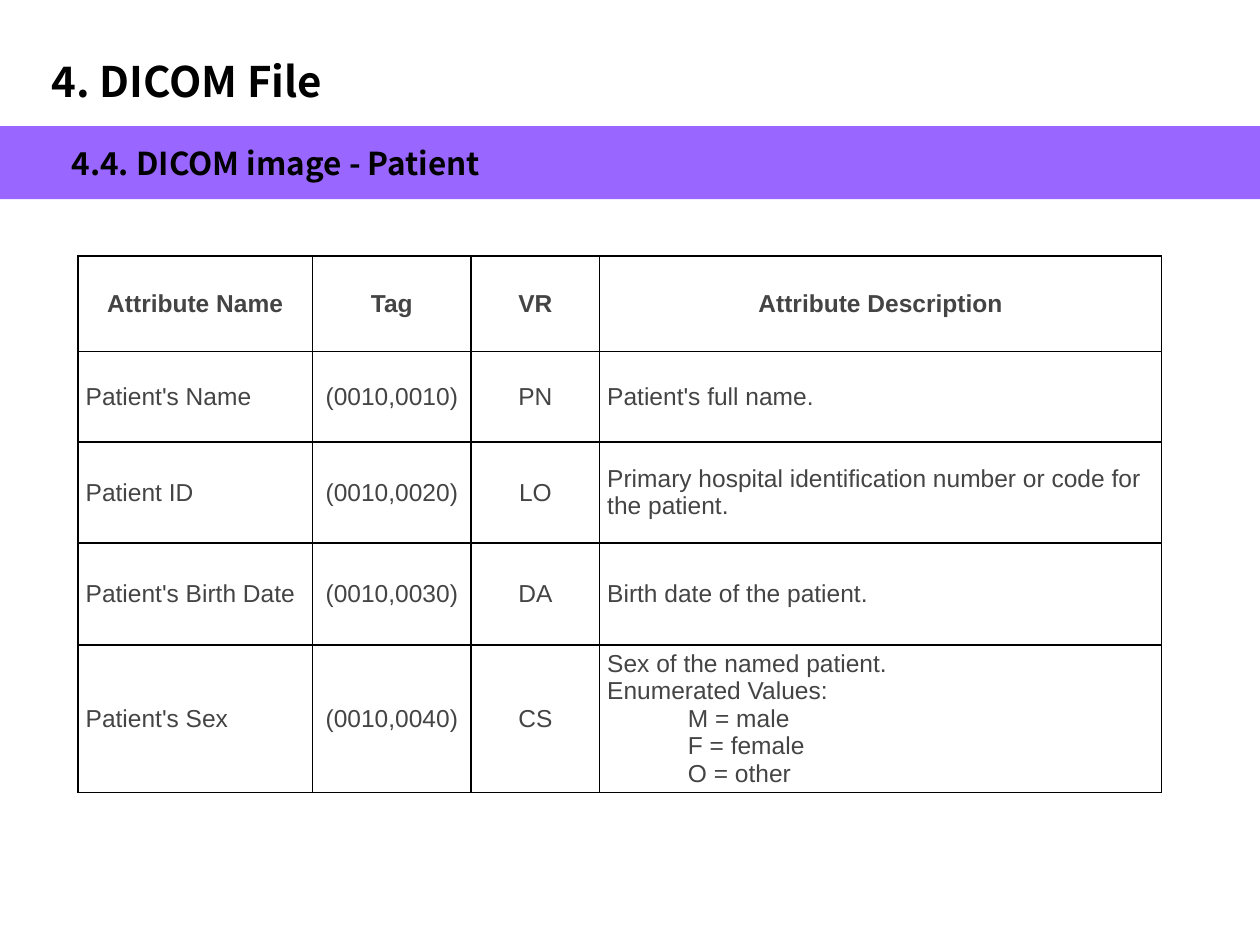
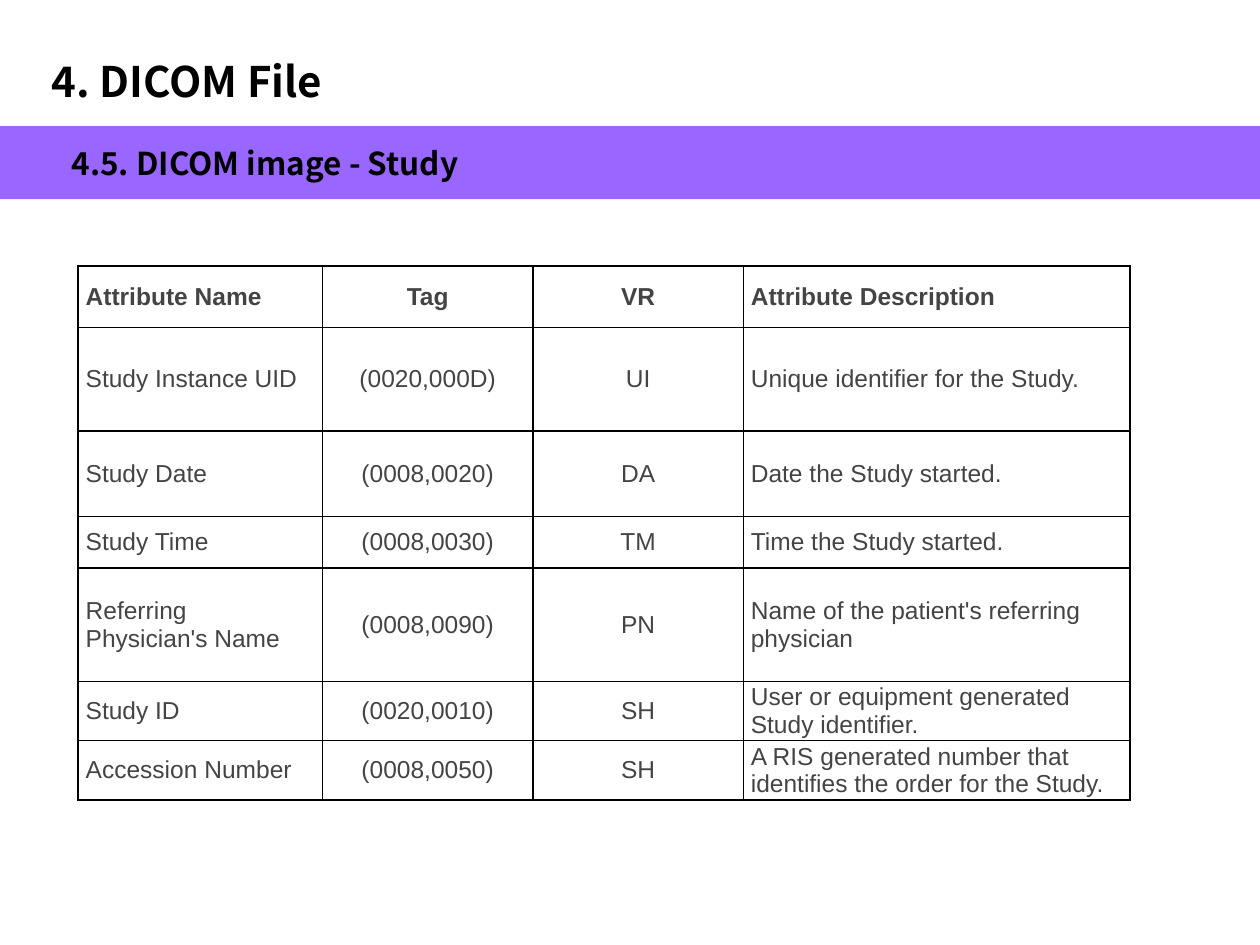
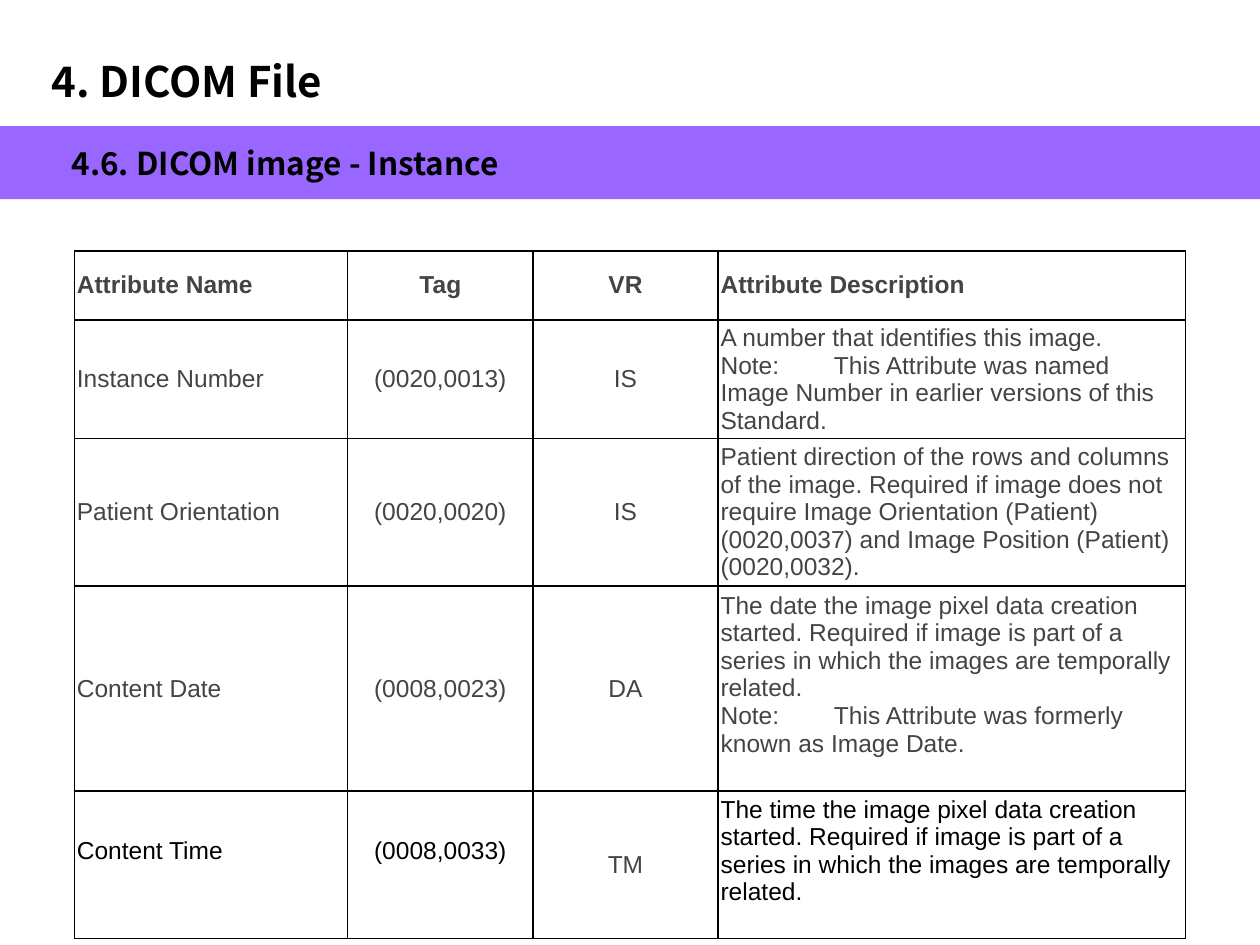
"""Build three slides of DICOM attribute tables under a shared title and band."""
from lxml import etree
from pptx import Presentation
from pptx import util as u
from pptx.dml.color import RGBColor
from pptx.enum import shapes, text
from pptx.oxml import ns

COLORS = {"band": "9966FF", "heading": "000000", "body": "444444", "border": "000000"}
HEADING_FONT, BODY_FONT = "Noto Sans CJK KR", "Arial"
WIDTH, HEIGHT = 10, 7.5
CHAPTER = "4. DICOM File"
HEADER = ("Attribute Name", "Tag", "VR", "Attribute Description")
CENTERED_COLUMNS = (1, 2)
RAISED_BY = 0.22

SECTIONS = [
    {
        "heading": "4.4. DICOM image - Patient",
        "origin": (0.62, 2.03), "columns": (1.86, 1.26, 1.02, 4.46),
        "heights": (0.76, 0.72, 0.8, 0.81, 1.17),
        "margin": 0.06, "tab": 0.64, "centered_header": True,
        "rows": [
            ("Patient's Name", "(0010,0010)", "PN", "Patient's full name."),
            ("Patient ID", "(0010,0020)", "LO",
             "Primary hospital identification number or code for the patient."),
            ("Patient's Birth Date", "(0010,0030)", "DA", "Birth date of the patient."),
            ("Patient's Sex", "(0010,0040)", "CS",
             "Sex of the named patient.\nEnumerated Values:\n"
             "\tM = male\n\tF = female\n\tO = other"),
        ],
    },
    {
        "heading": "4.5. DICOM image - Study",
        "origin": (0.62, 2.11), "columns": (1.94, 1.67, 1.67, 3.07),
        "heights": (0.49, 0.82, 0.68, 0.41, 0.9, 0.47, 0.47),
        "margin": 0.06,
        "rows": [
            ("Study Instance UID", "(0020,000D)", "UI", "Unique identifier for the Study."),
            ("Study Date", "(0008,0020)", "DA", "Date the Study started."),
            ("Study Time", "(0008,0030)", "TM", "Time the Study started."),
            ("Referring Physician's Name", "(0008,0090)", "PN",
             "Name of the patient's referring physician"),
            ("Study ID", "(0020,0010)", "SH", "User or equipment generated Study identifier."),
            ("Accession Number", "(0008,0050)", "SH",
             "A RIS generated number that identifies the order for the Study."),
        ],
    },
    {
        "heading": "4.6. DICOM image - Instance",
        "origin": (0.59, 1.99), "columns": (2.17, 1.47, 1.47, 3.71),
        "heights": (0.55, 0.94, 1.17, 1.63, 1.17),
        "margin": 0.02, "tab": 0.9,
        "black": {(4, 0), (4, 1), (4, 3)},
        "raised": {(3, 3), (4, 0), (4, 1), (4, 3)},
        "rows": [
            ("Instance Number", "(0020,0013)", "IS",
             "A number that identifies this image.\n"
             "Note:\tThis Attribute was named Image Number in earlier versions "
             "of this Standard."),
            ("Patient Orientation", "(0020,0020)", "IS",
             "Patient direction of the rows and columns of the image. Required if image "
             "does not require Image Orientation (Patient) (0020,0037) and Image Position "
             "(Patient) (0020,0032)."),
            ("Content Date", "(0008,0023)", "DA",
             "The date the image pixel data creation started. Required if image is part of "
             "a series in which the images are temporally related.\n"
             "Note:\tThis Attribute was formerly known as Image Date."),
            ("Content Time", "(0008,0033)", "TM",
             "The time the image pixel data creation started. Required if image is part of "
             "a series in which the images are temporally related."),
        ],
    },
]


def add_run(paragraph, words, font, size, color, bold):
    run = paragraph.add_run()
    run.text = words
    run.font.name, run.font.size, run.font.bold = font, u.Pt(size), bold
    run.font.color.rgb = RGBColor.from_string(COLORS[color])


def add_tab_stop(paragraph, position):
    properties = paragraph._p.get_or_add_pPr()
    stops = etree.SubElement(properties, ns.qn("a:tabLst"))
    etree.SubElement(stops, ns.qn("a:tab"), pos=str(u.Inches(position)), algn="l")


def add_borders(cell):
    properties = cell._tc.get_or_add_tcPr()
    for index, side in enumerate(("lnL", "lnR", "lnT", "lnB")):
        line = etree.Element(ns.qn(f"a:{side}"), w=str(u.Pt(1)))
        fill = etree.SubElement(line, ns.qn("a:solidFill"))
        etree.SubElement(fill, ns.qn("a:srgbClr"), val=COLORS["border"])
        properties.insert(index, line)


def add_band(slide, layout):
    band = slide.shapes.add_shape(
        shapes.MSO_SHAPE.RECTANGLE, 0, u.Inches(1), u.Inches(WIDTH), u.Inches(0.58))
    band.shadow.inherit = False
    band.fill.solid()
    band.fill.fore_color.rgb = RGBColor.from_string(COLORS["band"])
    band.line.fill.background()
    layout.shapes.element.insert(2, band.element)


def set_heading(shape, words, size, box, wrap):
    shape.left, shape.top, shape.width, shape.height = map(u.Inches, box)
    frame = shape.text_frame
    frame.word_wrap = wrap
    frame.auto_size = text.MSO_AUTO_SIZE.SHAPE_TO_FIT_TEXT
    frame.vertical_anchor = text.MSO_ANCHOR.TOP
    paragraph = frame.paragraphs[0]
    paragraph.alignment = text.PP_ALIGN.LEFT
    add_run(paragraph, words, HEADING_FONT, size, "heading", True)


def fill_cell(cell, words, section, row, column):
    place = (row, column)
    cell.fill.background()
    add_borders(cell)
    cell.vertical_anchor = text.MSO_ANCHOR.MIDDLE
    cell.margin_left = cell.margin_right = u.Inches(section["margin"])
    cell.margin_top = 0
    cell.margin_bottom = u.Inches(RAISED_BY if place in section.get("raised", ()) else 0)
    centered = column in CENTERED_COLUMNS or (row == 0 and section.get("centered_header"))
    color = "heading" if place in section.get("black", ()) else "body"
    for index, line in enumerate(words.split("\n")):
        frame = cell.text_frame
        paragraph = frame.add_paragraph() if index else frame.paragraphs[0]
        paragraph.alignment = text.PP_ALIGN.CENTER if centered else text.PP_ALIGN.LEFT
        if "\t" in line:
            add_tab_stop(paragraph, section["tab"])
        add_run(paragraph, line, BODY_FONT, 14, color, row == 0)


def add_attribute_table(slide, section):
    rows = [HEADER] + section["rows"]
    columns, heights = section["columns"], section["heights"]
    box = (*section["origin"], sum(columns), sum(heights))
    table = slide.shapes.add_table(len(rows), len(columns), *map(u.Inches, box)).table
    table.first_row = table.horz_banding = False
    for column, width in zip(table.columns, columns):
        column.width = u.Inches(width)
    for row, height in zip(table.rows, heights):
        row.height = u.Inches(height)
    for row, entries in enumerate(rows):
        for column, words in enumerate(entries):
            fill_cell(table.cell(row, column), words, section, row, column)


def main():
    presentation = Presentation()
    presentation.slide_width, presentation.slide_height = u.Inches(WIDTH), u.Inches(HEIGHT)
    layout = presentation.slide_layouts.get_by_name("Title Only")
    for index, section in enumerate(SECTIONS):
        slide = presentation.slides.add_slide(layout)
        if index == 0:
            add_band(slide, layout)
        set_heading(slide.shapes.title, CHAPTER, 24, (0.31, 0.39, 2.42, 0.5), False)
        subtitle = slide.shapes.add_textbox(0, 0, 0, 0)
        set_heading(subtitle, section["heading"], 18, (0.47, 1.09, 4.22, 0.4), True)
        add_attribute_table(slide, section)
    presentation.save("out.pptx")


if __name__ == "__main__":
    main()
